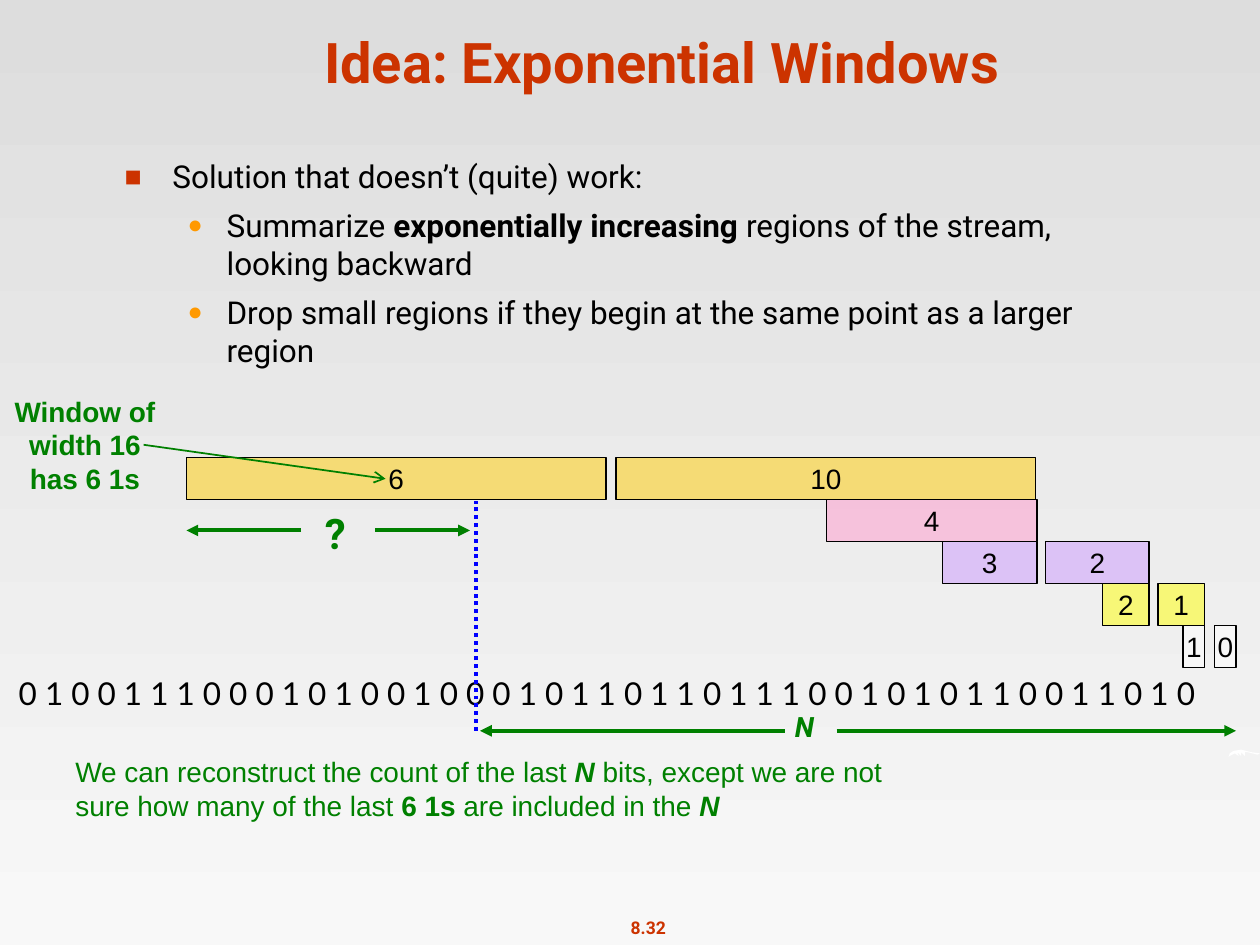
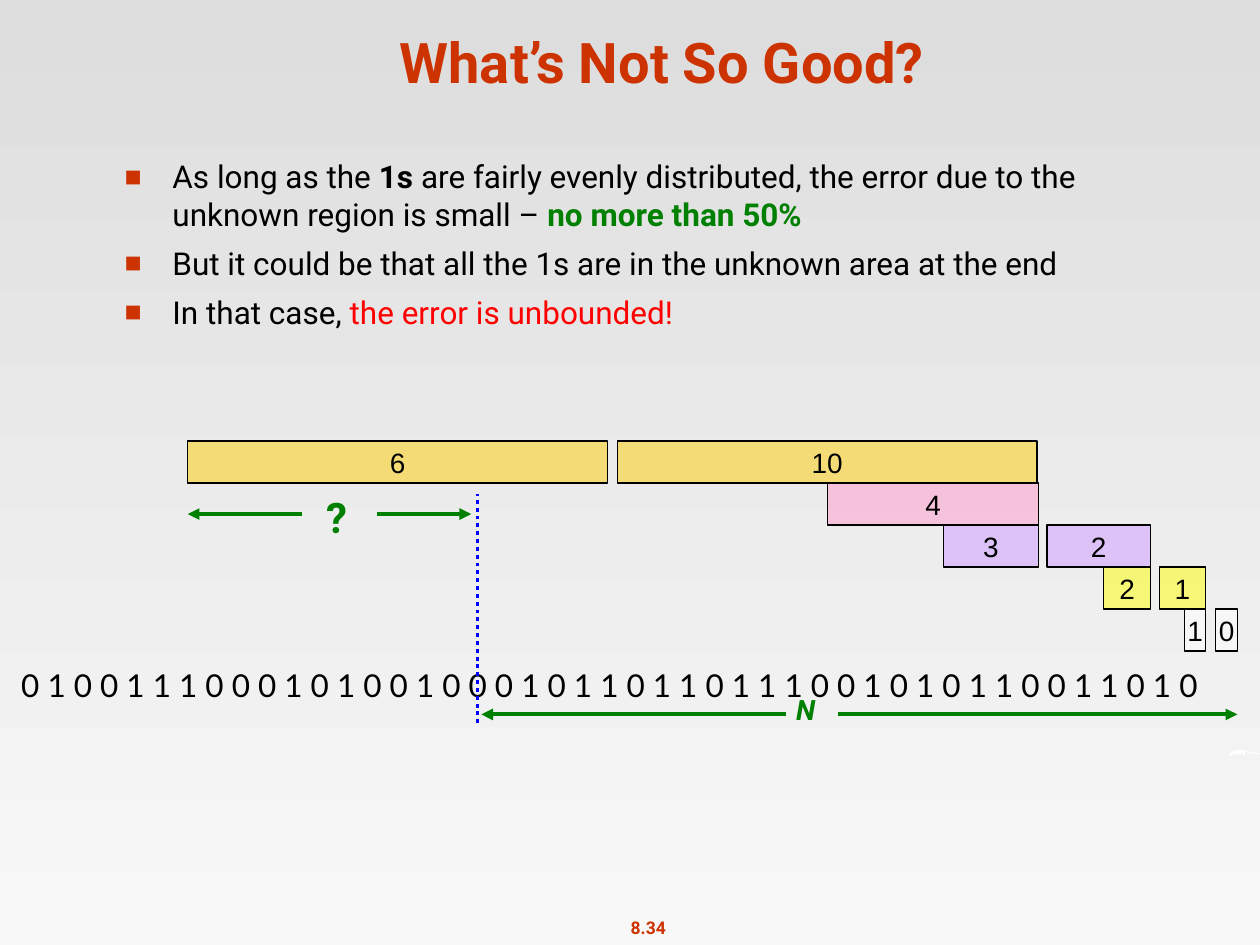
import pptx
import pptx.dml.color
import pptx.enum.dml
import pptx.enum.shapes
import pptx.enum.text
import pptx.oxml.ns
import pptx.util
from lxml import etree

Inches = pptx.util.Inches
Pt = pptx.util.Pt
qn = pptx.oxml.ns.qn
ALIGN = pptx.enum.text.PP_ALIGN
ANCHOR = pptx.enum.text.MSO_ANCHOR

COLORS = {
    "sky_top": "DDDDDD", "sky_bottom": "F8F8F8", "red": "CC3300", "orange": "FF9900",
    "green": "008000", "blue": "0000FF", "alert": "FF0000", "black": "000000",
    "white": "FFFFFF", "gold": "FFCC00", "pink": "FF99CC", "violet": "CC99FF",
    "yellow": "FFFF00",
}
# Per level: left margin, hanging indent, character, colour, size in percent
BULLETS = [(0.38, 0.38, "■", "red", 90), (0.81, 0.31, "●", "orange", 80)]
# Outline of the white sliver at the right edge, in hundredths of an inch
SLIVER = [(975, 601), (976, 598), (979, 596), (985, 595), (993, 597), (1000, 598),
          (998, 599), (990, 597), (988, 597), (988, 600), (985, 597), (985, 600),
          (982, 597), (983, 600), (980, 598), (976, 600)]
BITS = "0 1 0 0 1 1 1 0 0 0 1 0 1 0 0 1 0 0 0 1 0 1 1 0 1 1 0 1 1 1 0 0 1 0 1 0 1 1 0 0 1 1 0 1 0"
# Label, left, width, row, colour
WINDOWS = [
    ("0", 9.64, 0.17, 4, "white"), ("1", 9.39, 0.17, 4, "white"),
    ("1", 9.19, 0.37, 3, "yellow"), ("2", 8.75, 0.37, 3, "yellow"),
    ("2", 8.3, 0.82, 2, "violet"), ("3", 7.48, 0.75, 2, "violet"),
    ("4", 6.56, 1.67, 1, "pink"),
    ("10", 4.89, 3.33, 0, "gold"), ("6", 1.48, 3.33, 0, "gold"),
]
ROW_HEIGHT = 1 / 3


def rgb(name):
    return pptx.dml.color.RGBColor.from_string(COLORS[name])


class Deck:
    def __init__(self):
        self.prs = pptx.Presentation()
        self.prs.slide_width = Inches(10)
        self.prs.slide_height = Inches(7.5)
        self.slide = None

    def new_slide(self, title, number):
        self.slide = self.prs.slides.add_slide(self.prs.slide_layouts[6])
        fill = self.slide.background.fill
        fill.gradient()
        fill.gradient_angle = 270
        for stop, name in zip(fill.gradient_stops, ("sky_top", "sky_bottom")):
            stop.color.rgb = rgb(name)
        self.text((4.9, 7.23, 0.49, 0.27), [number], 10, "red", bold=True,
                  align=ALIGN.CENTER, wrap=False)
        self.sliver()
        self.text((0.84, 0.13, 8.83, 0.67), [title], 32, "red", bold=True,
                  align=ALIGN.CENTER, anchor=ANCHOR.BOTTOM)

    def sliver(self):
        builder = self.slide.shapes.build_freeform(*SLIVER[0], scale=Inches(0.01))
        builder.add_line_segments(SLIVER[1:], close=True)
        shape = builder.convert_to_shape()
        shape.shadow.inherit = False
        shape.fill.solid()
        shape.fill.fore_color.rgb = rgb("white")
        shape.line.fill.background()

    def set_runs(self, paragraph, runs, size, color, font="Roboto", bold=False,
                 italic=False, align=ALIGN.LEFT):
        """Fill a paragraph; a run is a string or (string, font changes)."""
        paragraph.alignment = align
        base = paragraph.font
        base.name, base.size, base.bold, base.italic = font, Pt(size), bold, italic
        base.color.rgb = rgb(color)
        for item in runs:
            words, changes = (item, {}) if isinstance(item, str) else item
            run = paragraph.add_run()
            run.text = words
            if "color" in changes:
                run.font.color.rgb = rgb(changes["color"])
            if "bold" in changes:
                run.font.bold = changes["bold"]
            if "italic" in changes:
                run.font.italic = changes["italic"]

    def text(self, box, runs, size, color, anchor=ANCHOR.TOP, wrap=True, **style):
        frame = self.slide.shapes.add_textbox(*map(Inches, box)).text_frame
        frame.word_wrap = wrap
        frame.vertical_anchor = anchor
        self.set_runs(frame.paragraphs[0], runs, size, color, **style)

    def bullets(self, items):
        """Fill the body; each item is (level, runs)."""
        box = self.slide.shapes.add_textbox(*map(Inches, (0.89, 1.2, 8.38, 5.36)))
        frame = box.text_frame
        frame.word_wrap = True
        for index, (level, runs) in enumerate(items):
            paragraph = frame.add_paragraph() if index else frame.paragraphs[0]
            margin, hanging, char, color, percent = BULLETS[level]
            props = paragraph._p.get_or_add_pPr()
            props.set("marL", str(Inches(margin)))
            props.set("indent", str(-Inches(hanging)))
            tint = etree.SubElement(props, qn("a:buClr"))
            etree.SubElement(tint, qn("a:srgbClr"), val=COLORS[color])
            etree.SubElement(props, qn("a:buSzPct"), val=str(percent * 1000))
            etree.SubElement(props, qn("a:buFont"), typeface="Arial")
            etree.SubElement(props, qn("a:buChar"), char=char)
            paragraph.level = level
            if index:
                paragraph.space_before = Pt(6.3)
            self.set_runs(paragraph, runs, 18, "black")

    def window(self, label, left, top, width, color):
        shape = self.slide.shapes.add_shape(
            pptx.enum.shapes.MSO_SHAPE.RECTANGLE,
            *map(Inches, (left, top, width, ROW_HEIGHT)))
        shape.shadow.inherit = False
        shape.fill.solid()
        shape.fill.fore_color.rgb = rgb(color)
        tint = shape._element.spPr.find(qn("a:solidFill")).find(qn("a:srgbClr"))
        etree.SubElement(tint, qn("a:alpha"), val="50000")
        shape.line.color.rgb = rgb("black")
        shape.line.width = Pt(0.75)
        frame = shape.text_frame
        frame.word_wrap = False
        frame.vertical_anchor = ANCHOR.MIDDLE
        self.set_runs(frame.paragraphs[0], [label], 16, "black", font="Arial",
                      align=ALIGN.CENTER)

    def line(self, start, end, color="green", width=2.25, head="triangle", dotted=False):
        connector = self.slide.shapes.add_connector(
            pptx.enum.shapes.MSO_CONNECTOR.STRAIGHT, *map(Inches, (*start, *end)))
        connector.line.color.rgb = rgb(color)
        connector.line.width = Pt(width)
        if dotted:
            connector.line.dash_style = pptx.enum.dml.MSO_LINE.ROUND_DOT
        props = connector._element.spPr
        if head:
            etree.SubElement(props.find(qn("a:ln")), qn("a:tailEnd"), type=head)
        etree.SubElement(props, qn("a:effectLst"))

    def stream(self, dx, dy, bits_at, boundary_top):
        """Draw the bit stream with its windows, moved by dx and dy."""
        self.text((*bits_at, 9.82, 0.4), [BITS], 18, "black", font="Lato")
        self.text((6.21 + dx, 5.58 + dy, 0.38, 0.4), ["N"], 16, "green",
                  bold=True, italic=True, wrap=False)
        self.text((2.48 + dx, 3.98 + dy, 0.35, 0.5), ["?"], 24, "green",
                  bold=True, wrap=False)
        for y, start, end in ((5.8, 6.23, 3.81), (5.8, 6.64, 9.81),
                              (4.21, 2.39, 1.48), (4.21, 2.98, 3.73)):
            self.line((start + dx, y + dy), (end + dx, y + dy))
        for label, left, width, row, color in WINDOWS:
            self.window(label, left + dx, 3.63 + dy + row * ROW_HEIGHT, width, color)
        self.line((3.78 + dx, boundary_top + 1.82), (3.78 + dx, boundary_top), "blue",
                  head=None, dotted=True)


def exponential_windows(deck):
    bold, bold_italic = {"bold": True}, {"bold": True, "italic": True}
    deck.new_slide("Idea: Exponential Windows", "8.32")
    deck.bullets([
        (0, ["Solution that doesn’t (quite) work:"]),
        (1, ["Summarize ", ("exponentially increasing ", bold),
             "regions of the stream, looking backward"]),
        (1, ["Drop small regions if they begin at the same point as a larger region"]),
    ])
    deck.stream(0, 0, (0.05, 5.3), 3.98)
    deck.text((0.5, 5.94, 6.97, 0.71),
              ["We can reconstruct the count of the last ", ("N ", bold_italic),
               "bits, except we are not sure how many of the last ", ("6 1s", bold),
               " are included in the ", ("N", bold_italic)],
              16, "green", font="Arial")
    deck.text((0.01, 3.08, 1.33, 0.91), ["Window of width 16 has 6 1s"], 16, "green",
              font="Arial", bold=True, align=ALIGN.CENTER)
    deck.line((1.14, 3.53), (3.06, 3.8), width=1, head="arrow")


def not_so_good(deck):
    deck.new_slide("What’s Not So Good?", "8.34")
    deck.bullets([
        (0, ["As long as the ", ("1s ", {"bold": True}),
             "are fairly evenly distributed, the error due to the unknown region is small – ",
             ("no more than 50%", {"bold": True, "color": "green"})]),
        (0, ["But it could be that all the 1s are in the unknown area at the end"]),
        (0, ["In that case, ", ("the error is unbounded!", {"color": "alert"})]),
    ])
    deck.stream(0.01, -0.13, (0.07, 5.24), 3.92)


def main():
    deck = Deck()
    exponential_windows(deck)
    not_so_good(deck)
    deck.prs.save("out.pptx")


if __name__ == "__main__":
    main()
